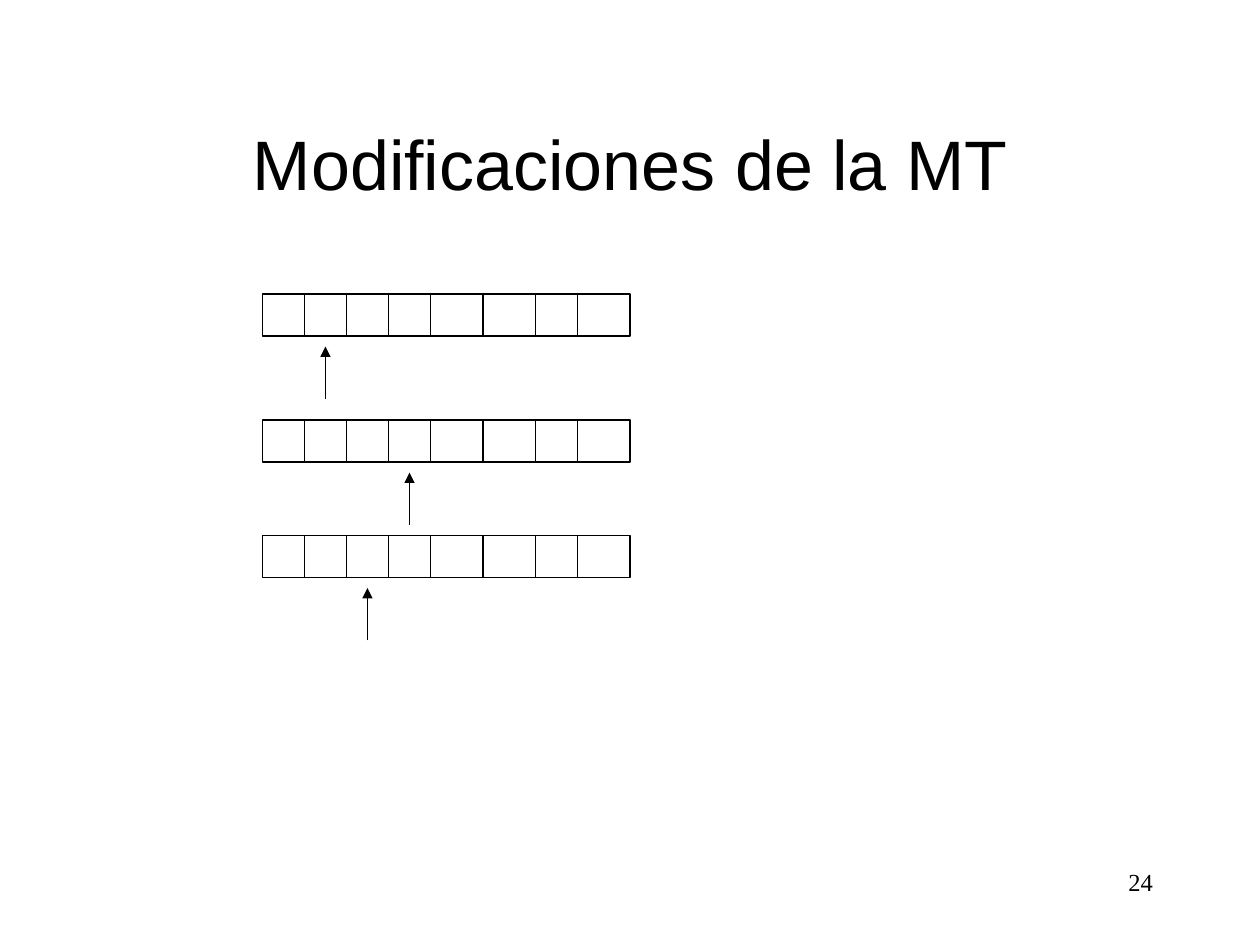
import pptx
import pptx.dml.color
import pptx.enum.shapes
import pptx.enum.text
import pptx.oxml
import pptx.util

theme = {
    "ink": pptx.dml.color.RGBColor(0, 0, 0),
    "title": ("Arial", pptx.util.Pt(40)),
    "number": ("Times New Roman", pptx.util.Pt(14)),
    "line": pptx.util.Pt(0.75),
}

deck = pptx.Presentation()
deck.slide_width = pptx.util.Inches(10)
deck.slide_height = pptx.util.Inches(7.5)
unit = deck.slide_width // 120  # square grid, 120 columns by 90 rows

slide = deck.slides.add_slide(deck.slide_layouts[5])
align = pptx.enum.text.PP_ALIGN


def write(box, text, style, side):
    frame = box.text_frame
    frame.word_wrap = True
    frame.auto_size = pptx.enum.text.MSO_AUTO_SIZE.NONE
    para = frame.paragraphs[0]
    para.alignment = side
    run = para.add_run()
    run.text = text
    run.font.name, run.font.size = theme[style]
    run.font.color.rgb = theme["ink"]


def ink(line):
    line.color.rgb = theme["ink"]
    line.width = theme["line"]


title = slide.shapes.title
title.left, title.top, title.width, title.height = (
    n * unit for n in (9, 8, 102, 15))
title.text_frame.vertical_anchor = pptx.enum.text.MSO_ANCHOR.MIDDLE
write(title, "Modificaciones de la MT", "title", align.CENTER)

number = slide.shapes.add_textbox(86 * unit, 82 * unit, 25 * unit, 6 * unit)
write(number, "24", "number", align.RIGHT)

# Overlapping boxes whose edges divide each tape into eight cells
spans = [(25, 60), (33, 51), (29, 55), (37, 46), (37, 41)]
# Top row of each tape and column of its head
tapes = [(28, 31), (40, 39), (51, 35)]

for top, head in tapes:
    tape = slide.shapes.add_group_shape()
    for left, right in spans:
        cell = tape.shapes.add_shape(
            pptx.enum.shapes.MSO_SHAPE.RECTANGLE,
            left * unit, top * unit, (right - left) * unit, 4 * unit)
        cell.shadow.inherit = False
        cell.fill.background()
        ink(cell.line)

for top, head in tapes:
    arrow = slide.shapes.add_connector(
        pptx.enum.shapes.MSO_CONNECTOR.STRAIGHT,
        head * unit, (top + 10) * unit, head * unit, (top + 5) * unit)
    ink(arrow.line)
    tip = pptx.oxml.parse_xml(
        '<a:tailEnd xmlns:a="http://schemas.openxmlformats.org/'
        'drawingml/2006/main" type="triangle"/>')
    arrow.line._get_or_add_ln().append(tip)
    flat = pptx.oxml.parse_xml(
        '<a:effectLst xmlns:a="http://schemas.openxmlformats.org/'
        'drawingml/2006/main"/>')
    arrow._element.spPr.append(flat)

deck.save("out.pptx")
